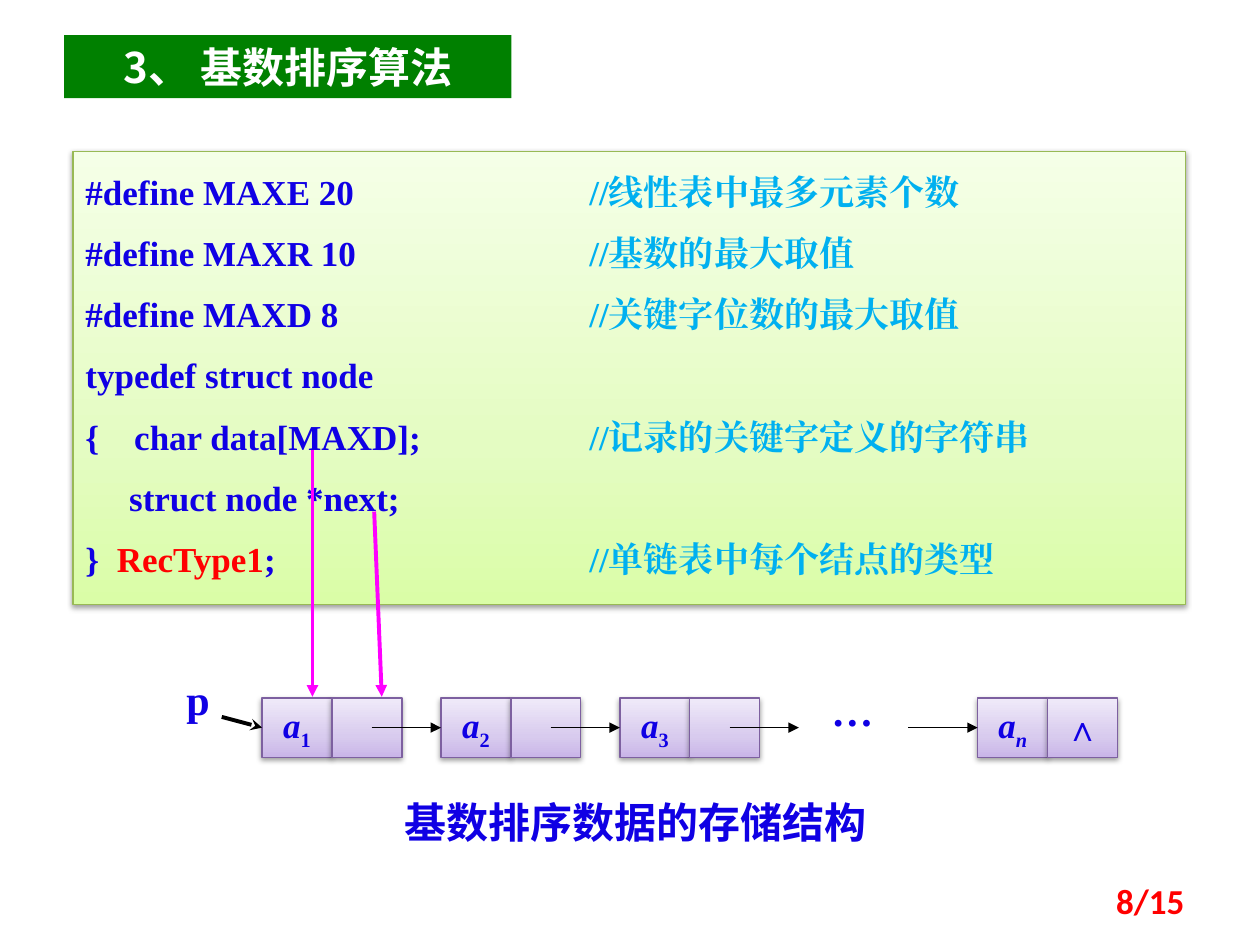
from lxml import etree
from pptx import Presentation
from pptx.dml.color import RGBColor
from pptx.enum.shapes import MSO_CONNECTOR as CONN, MSO_SHAPE as SHAPE
from pptx.enum.text import MSO_ANCHOR as ANCHOR, PP_ALIGN as ALIGN
from pptx.oxml import parse_xml
from pptx.oxml.ns import nsdecls, qn
from pptx.util import Inches, Pt

BLUE, CYAN, RED, MAGENTA = "1000E4", "00B0F0", "FF0000", "FF00FF"
TIMES, CJK = "Times New Roman", "Noto Sans CJK SC"
GREENS = ("DAFDA7", "E4FCC2", "F5FFE7")
PURPLES = ("C9B5E8", "D8CBEE", "F0EAF9")
CODE = [
    ([("#define MAXE 20", BLUE)], "//线性表中最多元素个数"),
    ([("#define MAXR 10", BLUE)], "//基数的最大取值"),
    ([("#define MAXD 8", BLUE)], "//关键字位数的最大取值"),
    ([("typedef struct node", BLUE)], ""),
    ([("{    char data[MAXD];", BLUE)], "//记录的关键字定义的字符串"),
    ([("     struct node *next;", BLUE)], ""),
    ([("}  ", BLUE), ("RecType1", RED), (";", BLUE)], "//单链表中每个结点的类型"),
]


def rgb(color):
    return RGBColor.from_string(color)


def add_text(p, text, size=20, font=TIMES, color=BLUE, bold=True, italic=False, baseline=0):
    r = p.add_run()
    r.text = text
    f = r.font
    f.size, f.name, f.bold, f.italic = Pt(size), font, bold, italic
    f.color.rgb = rgb(color)
    rPr = r.font._element
    etree.SubElement(rPr, qn("a:ea")).set("typeface", font)
    if baseline:
        rPr.set("baseline", str(baseline * 1000))


def add_label(slide, box, text, align=ALIGN.LEFT, anchor=ANCHOR.TOP, **fmt):
    tf = slide.shapes.add_textbox(*map(Inches, box)).text_frame
    tf.word_wrap = True
    tf.vertical_anchor = anchor
    tf.paragraphs[0].alignment = align
    add_text(tf.paragraphs[0], text, **fmt)


def add_panel(slide, box, stops, border):
    s = slide.shapes.add_shape(SHAPE.RECTANGLE, *map(Inches, box))
    s.line.color.rgb = rgb(border)
    s.line.width = Pt(0.75)
    gs = "".join(
        f'<a:gs pos="{pos}"><a:srgbClr val="{color}"/></a:gs>'
        for pos, color in zip((0, 35000, 100000), stops)
    )
    grad = parse_xml(
        f'<a:gradFill {nsdecls("a")} rotWithShape="1"><a:gsLst>{gs}</a:gsLst>'
        '<a:lin ang="16200000" scaled="0"/></a:gradFill>'
    )
    shadow = parse_xml(
        f'<a:effectLst {nsdecls("a")}><a:outerShdw blurRad="{Pt(3.1)}" dist="{Pt(1.6)}" '
        'dir="5400000" rotWithShape="0"><a:srgbClr val="000000"><a:alpha val="38000"/>'
        "</a:srgbClr></a:outerShdw></a:effectLst>"
    )
    spPr = s._element.spPr
    spPr.find(qn("a:prstGeom")).addnext(grad)
    spPr.append(shadow)
    return s


def add_arrow(slide, start, end, color="000000", width=0.75, head="triangle", target=None):
    c = slide.shapes.add_connector(CONN.STRAIGHT, *map(Inches, start + end))
    if target is not None:
        c.end_connect(target, 1)
    c.line.color.rgb = rgb(color)
    c.line.width = Pt(width)
    etree.SubElement(c.line._get_or_add_ln(), qn("a:tailEnd")).set("type", head)
    etree.SubElement(c._element.spPr, qn("a:effectLst"))


def add_title(slide, box):
    s = slide.shapes.add_shape(SHAPE.RECTANGLE, *map(Inches, box))
    s.shadow.inherit = False
    s.fill.solid()
    s.fill.fore_color.rgb = rgb("008000")
    s.line.fill.background()
    p = s.text_frame.paragraphs[0]
    p.alignment = ALIGN.CENTER
    add_text(p, "3、 基数排序算法", size=24, font=CJK, color="FFFFFF")


def add_code(slide, box):
    tf = add_panel(slide, box, GREENS, "98B955").text_frame
    tf.word_wrap = True
    tf.vertical_anchor = ANCHOR.TOP
    tf.margin_top, tf.margin_bottom = Inches(0.15), Inches(0.12)
    for i, (parts, comment) in enumerate(CODE):
        p = tf.add_paragraph() if i else tf.paragraphs[0]
        p.alignment = ALIGN.LEFT
        if i:
            p.space_before = Pt(11)
        tabs = etree.SubElement(p._p.get_or_add_pPr(), qn("a:tabLst"))
        tab = etree.SubElement(tabs, qn("a:tab"))
        tab.set("pos", str(Inches(4)))
        tab.set("algn", "l")
        for text, color in parts:
            add_text(p, text, color=color)
        if comment:
            add_text(p, "\t" + comment, color=CYAN)


def add_node(slide, box, subscript):
    left, top, width, height = box
    cells = []
    for i in range(2):
        s = add_panel(slide, (left + i * width / 2, top, width / 2, height), PURPLES, "7D60A0")
        s.text_frame.word_wrap = False
        s.text_frame.vertical_anchor = ANCHOR.MIDDLE
        s.text_frame.paragraphs[0].alignment = ALIGN.CENTER
        cells.append(s)
    data, link = cells
    p = data.text_frame.paragraphs[0]
    add_text(p, "a", italic=True)
    add_text(p, subscript, italic=subscript == "n", baseline=-25)
    if subscript == "n":
        add_text(link.text_frame.paragraphs[0], "∧")
    return data


def add_linked_list(slide, box):
    left, top, width, height = box
    node_w, reach = 1.11, 0.55
    pitch = (width - node_w) / 4
    middle = top + height / 2
    nodes = {
        slot: add_node(slide, (left + slot * pitch, top, node_w, height), subscript)
        for slot, subscript in ((0, "1"), (1, "2"), (2, "3"), (4, "n"))
    }
    for slot in range(1, 5):
        x = left + slot * pitch
        add_arrow(slide, (x - reach, middle), (x, middle), target=nodes.get(slot))
    add_arrow(slide, (left - 0.32, top + 0.15), (left, middle),
              width=2.25, head="stealth", target=nodes[0])
    add_label(slide, (left - 0.7, top - 0.24, 0.39, 0.5), "p", size=24)
    add_label(slide, (left + 3 * pitch + 0.16, top - 0.16, 0.47, 0.5), "…", size=24)


def main():
    prs = Presentation()
    prs.slide_width, prs.slide_height = Inches(10), Inches(7.5)
    slide = prs.slides.add_slide(prs.slide_layouts[6])
    add_code(slide, (0.58, 1.2, 8.83, 3.6))
    add_linked_list(slide, (2.08, 5.54, 6.79, 0.47))
    add_label(slide, (3.11, 6.27, 4.25, 0.5), "基数排序数据的存储结构",
              anchor=ANCHOR.MIDDLE, size=24, font=CJK)
    for start, end in (((2.48, 3.57), (2.48, 5.53)), ((2.97, 4.06), (3.03, 5.53))):
        add_arrow(slide, start, end, color=MAGENTA, width=2.25)
    add_title(slide, (0.51, 0.28, 3.55, 0.5))
    add_label(slide, (7.17, 6.95, 2.33, 0.4), "8/15", align=ALIGN.RIGHT,
              anchor=ANCHOR.MIDDLE, font="Calibri", color=RED)
    prs.save("out.pptx")


if __name__ == "__main__":
    main()
